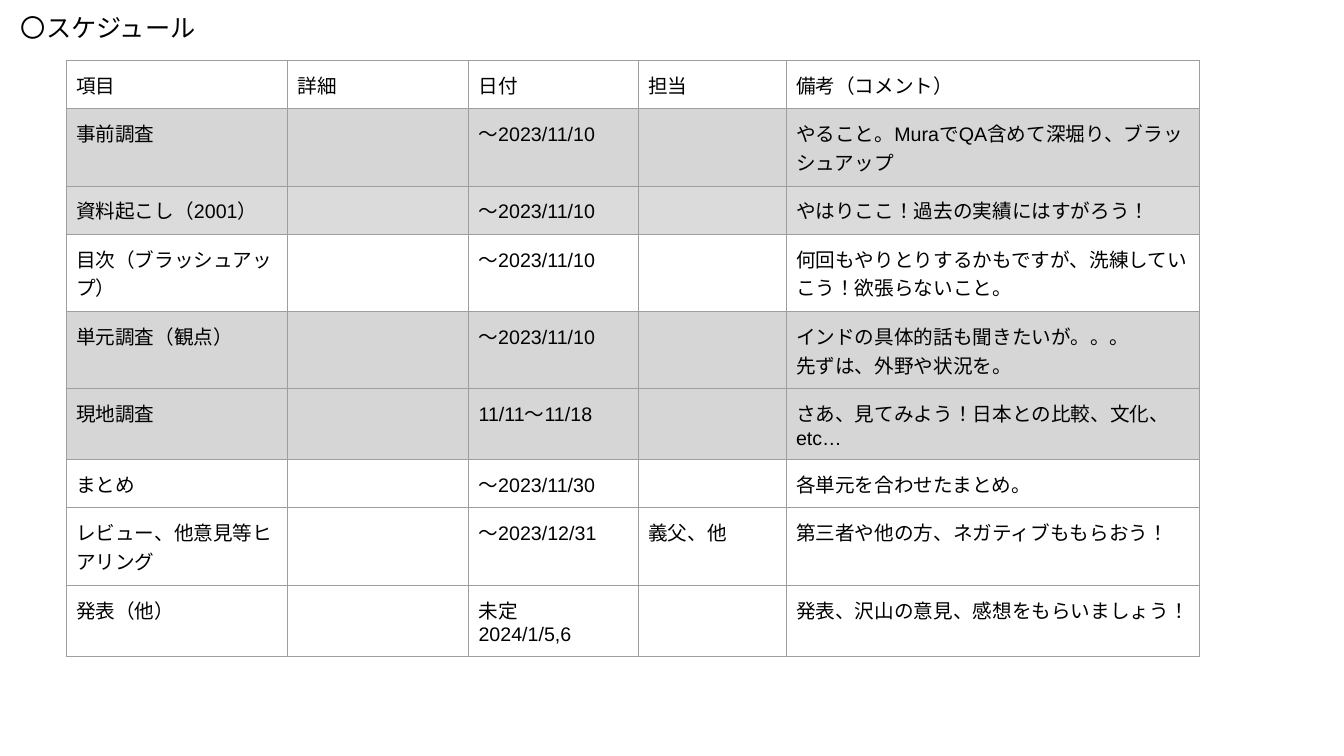
from lxml import etree
from pptx import Presentation
from pptx import util as u
from pptx.dml import color
from pptx.enum import lang, text
from pptx.oxml import ns

Pt = u.Pt


def rgb(value):
    return color.RGBColor.from_string(value)


class ScheduleSlide:
    font = "Arial"
    ink = "000000"
    border = "9E9E9E"
    border_width = 0.75
    padding = 7.2

    def __init__(self, deck):
        self.slide = deck.slides.add_slide(deck.slide_layouts[6])

    def style(self, frame, size):
        for paragraph in frame.paragraphs:
            paragraph.font.name = self.font
            paragraph.font.size = Pt(size)
            paragraph.font.color.rgb = rgb(self.ink)
            for run in paragraph.runs:
                run.font.language_id = lang.MSO_LANGUAGE_ID.JAPANESE

    def heading(self, wording, left, top, width, height, size):
        frame = self.slide.shapes.add_textbox(Pt(left), Pt(top), Pt(width), Pt(height)).text_frame
        frame.word_wrap = True
        frame.vertical_anchor = text.MSO_ANCHOR.TOP
        frame.text = wording
        frame.paragraphs[0].line_spacing = 0.9
        self.style(frame, size)

    def outline(self, cell):
        properties = cell._tc.get_or_add_tcPr()
        for position, side in enumerate(("a:lnL", "a:lnR", "a:lnT", "a:lnB")):
            line = etree.Element(ns.qn(side), w=str(Pt(self.border_width)))
            fill = etree.SubElement(line, ns.qn("a:solidFill"))
            etree.SubElement(fill, ns.qn("a:srgbClr"), val=self.border)
            properties.insert(position, line)

    def cell(self, cell, wording, shade, size):
        cell.text = wording
        cell.margin_left = cell.margin_right = Pt(self.padding)
        cell.margin_top = cell.margin_bottom = Pt(self.padding)
        self.style(cell.text_frame, size)
        if shade:
            cell.fill.solid()
            cell.fill.fore_color.rgb = rgb(shade)
        else:
            cell.fill.background()
        self.outline(cell)

    def table(self, rows, left, top, widths, size):
        height = sum(row[0] for row in rows)
        table = self.slide.shapes.add_table(
            len(rows), len(widths), Pt(left), Pt(top), Pt(sum(widths)), Pt(height)
        ).table
        table.first_row = table.horz_banding = False
        for column, width in zip(table.columns, widths):
            column.width = Pt(width)
        for row, (row_height, shade, *wordings) in zip(table.rows, rows):
            row.height = Pt(row_height)
            for cell, wording in zip(row.cells, wordings):
                self.cell(cell, wording, shade, size)


DONE = "D6D6D6"
REFERENCE = "DBDBDB"
SINGLE, MIXED, DOUBLE = 34.4, 50.6, 55.3
SCHEDULE = [
    (SINGLE, None, "項目", "詳細", "日付", "担当", "備考（コメント）"),
    (DOUBLE, DONE, "事前調査", "", "～2023/11/10", "", "やること。MuraでQA含めて深堀り、ブラッシュアップ"),
    (SINGLE, REFERENCE, "資料起こし（2001）", "", "～2023/11/10", "", "やはりここ！過去の実績にはすがろう！"),
    (DOUBLE, None, "目次（ブラッシュアップ）", "", "～2023/11/10", "", "何回もやりとりするかもですが、洗練していこう！欲張らないこと。"),
    (DOUBLE, DONE, "単元調査（観点）", "", "～2023/11/10", "", "インドの具体的話も聞きたいが。。。\v先ずは、外野や状況を。"),
    (MIXED, DONE, "現地調査", "", "11/11～11/18", "", "さあ、見てみよう！日本との比較、文化、etc…"),
    (SINGLE, None, "まとめ", "", "～2023/11/30", "", "各単元を合わせたまとめ。"),
    (DOUBLE, None, "レビュー、他意見等ヒアリング", "", "～2023/12/31", "義父、他", "第三者や他の方、ネガティブももらおう！"),
    (MIXED, None, "発表（他）", "", "未定\n2024/1/5,6", "", "発表、沢山の意見、感想をもらいましょう！"),
]


def main():
    deck = Presentation()
    deck.slide_width, deck.slide_height = Pt(960), Pt(540)
    page = ScheduleSlide(deck)
    page.heading("〇スケジュール", 7.9, 7.9, 952, 49, 18)
    page.table(SCHEDULE, 47.1, 43.2, (158.2, 129.4, 121.2, 105.6, 295.6), 14)
    deck.save("out.pptx")


if __name__ == "__main__":
    main()
